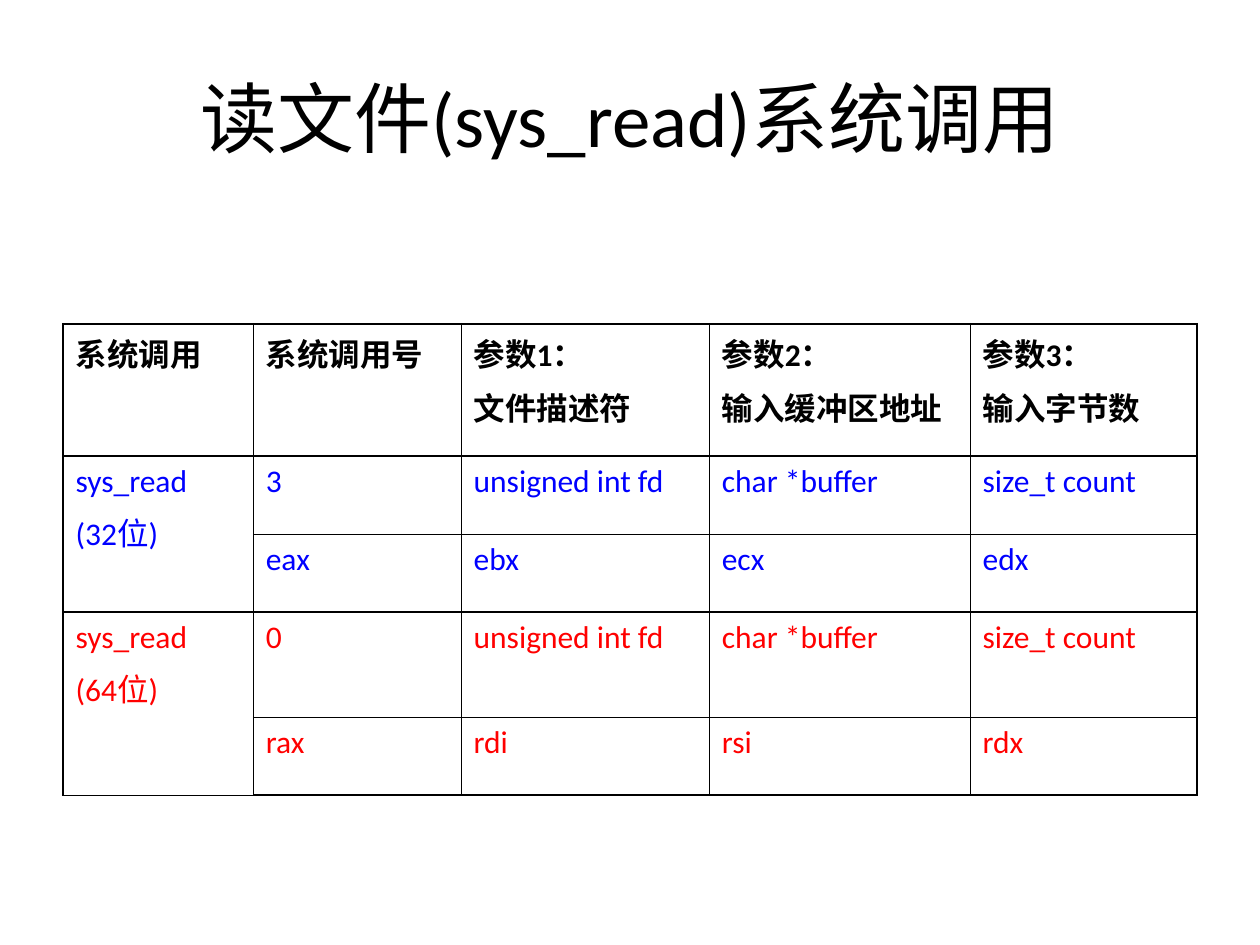
from dataclasses import dataclass

from lxml import etree
from pptx import Presentation
from pptx.dml.color import RGBColor
from pptx.enum.text import MSO_ANCHOR, PP_ALIGN
from pptx.oxml.ns import qn
from pptx.util import Inches, Pt

CENTER = PP_ALIGN.CENTER
MIDDLE = MSO_ANCHOR.MIDDLE
TITLE_ONLY = 5


@dataclass(frozen=True)
class Theme:
    font: str = "Calibri"
    ink: str = "000000"
    blue: str = "0000FF"
    red: str = "FF0000"
    title_size: float = 44
    cell_size: float = 18
    space_before: float = 4.5
    thin: float = 0.45
    thick: float = 1.08


class SlideBuilder:
    def __init__(self, presentation, theme):
        self.theme = theme
        self.width = presentation.slide_width
        self.height = presentation.slide_height
        self.slide = presentation.slides.add_slide(presentation.slide_layouts[TITLE_ONLY])

    def box(self, left, top, width, height):
        return (int(left * self.width), int(top * self.height),
                int(width * self.width), int(height * self.height))

    def format_text(self, paragraph, size, color, bold=False):
        for run in paragraph.runs:
            run.font.name = self.theme.font
            run.font.size = Pt(size)
            run.font.bold = bold
            run.font.color.rgb = RGBColor.from_string(color)

    def title(self, text, area):
        shape = self.slide.shapes.title
        shape.left, shape.top, shape.width, shape.height = self.box(*area)
        shape.text_frame.text = text
        shape.text_frame.vertical_anchor = MIDDLE
        paragraph = shape.text_frame.paragraphs[0]
        paragraph.alignment = CENTER
        self.format_text(paragraph, self.theme.title_size, self.theme.ink)

    def border(self, cell, side, width):
        properties = cell._tc.get_or_add_tcPr()
        line = etree.SubElement(properties, qn(f"a:ln{side}"), w=str(Pt(width)))
        fill = etree.SubElement(line, qn("a:solidFill"))
        etree.SubElement(fill, qn("a:srgbClr"), val=self.theme.ink)

    def cell(self, cell, text, color, bold, thick_sides):
        cell.text_frame.text = text
        for paragraph in cell.text_frame.paragraphs:
            paragraph.space_before = Pt(self.theme.space_before)
            self.format_text(paragraph, self.theme.cell_size, color, bold)
        for side in "LRTB":
            width = self.theme.thick if side in thick_sides else self.theme.thin
            self.border(cell, side, width)
        cell.fill.background()

    def table(self, groups, area, column_shares, row_shares):
        rows = [(group, index, texts) for group in groups
                for index, texts in enumerate(group["rows"])]
        last = len(column_shares) - 1
        frame = self.slide.shapes.add_table(len(rows), last + 1, *self.box(*area))
        table = frame.table
        table.first_row = table.horz_banding = False
        for column, share in zip(table.columns, column_shares):
            column.width = int(share * self.width)
        for row, share in zip(table.rows, row_shares):
            row.height = int(share * self.height)
        for row, (group, index, texts) in enumerate(rows):
            size = len(group["rows"])
            edges = ("T" if index == 0 else "") + ("B" if index == size - 1 else "")
            for column, text in enumerate(texts):
                sides = edges + {0: "L", last: "R"}.get(column, "")
                self.cell(table.cell(row, column), text, group["color"],
                          group["bold"], sides)
            if index == 0 and size > 1:
                table.cell(row, 0).merge(table.cell(row + size - 1, 0))


def call_group(bits, number, registers, color):
    arguments = ["unsigned int fd", "char *buffer", "size_t count"]
    return {"color": color, "bold": False, "rows": [
        [f"sys_read\n({bits}位)", number, *arguments],
        ["", *registers],
    ]}


def main():
    presentation = Presentation()
    presentation.slide_width = Inches(10)
    presentation.slide_height = Inches(7.5)
    theme = Theme()
    builder = SlideBuilder(presentation, theme)
    builder.title("读文件(sys_read)系统调用", (0.05, 0.04, 0.9, 1 / 6))
    header = ["系统调用", "系统调用号", "参数1：\n文件描述符",
              "参数2：\n输入缓冲区地址", "参数3：\n输入字节数"]
    groups = [
        {"color": theme.ink, "bold": True, "rows": [header]},
        call_group(32, "3", ["eax", "ebx", "ecx", "edx"], theme.blue),
        call_group(64, "0", ["rax", "rdi", "rsi", "rdx"], theme.red),
    ]
    row_heights = [1.05, 0.62, 0.62, 0.83, 0.62]
    builder.table(
        groups,
        (0.05, 2.57 / 7.5, 0.9, sum(row_heights) / 7.5),
        [width / 10 for width in (1.51, 1.65, 1.97, 2.07, 1.8)],
        [height / 7.5 for height in row_heights],
    )
    presentation.save("out.pptx")


if __name__ == "__main__":
    main()
